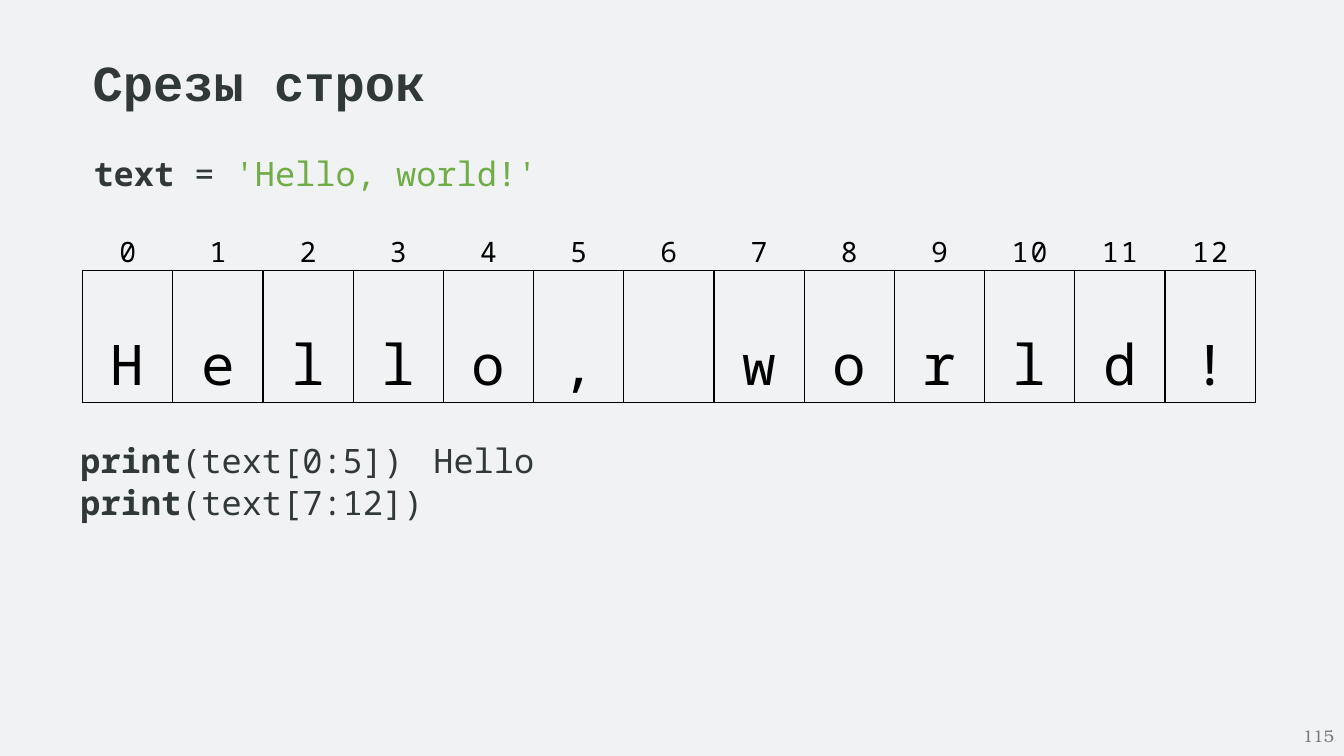
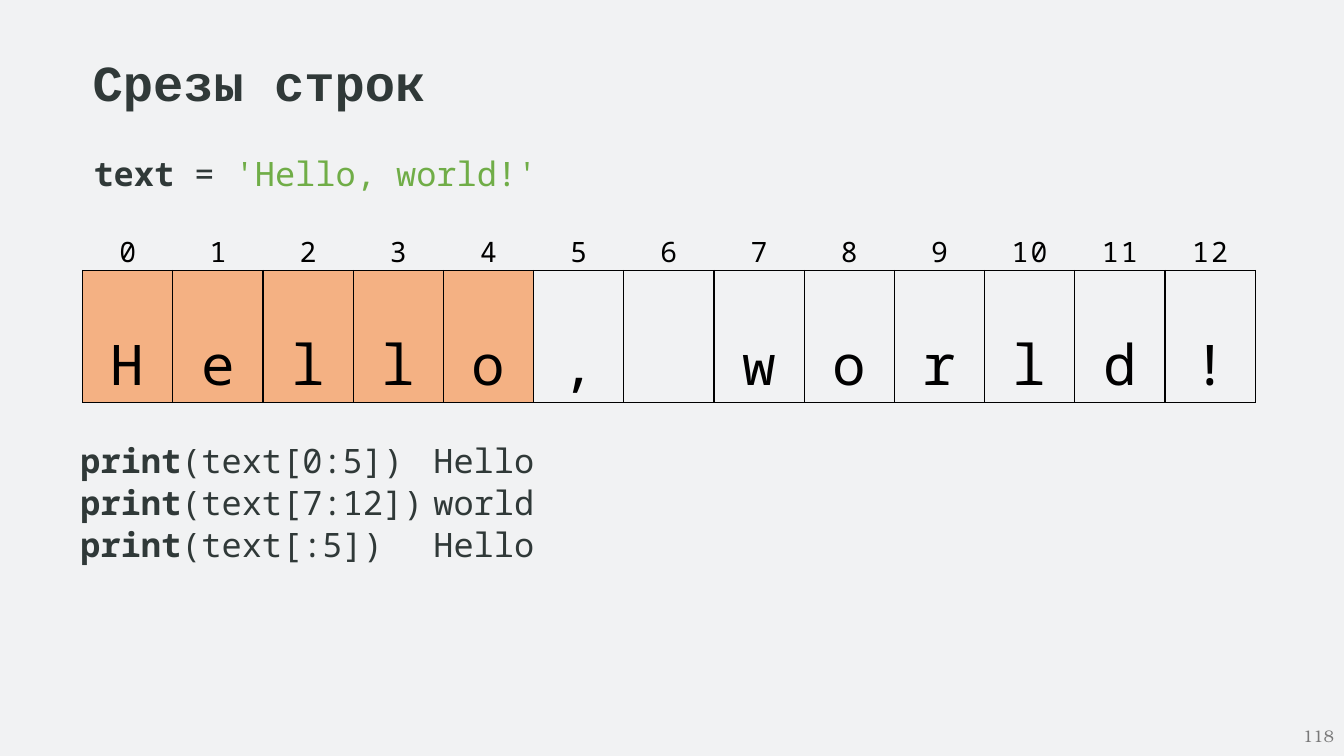
from lxml import etree
from pptx import Presentation, util as u
from pptx.dml.color import RGBColor
from pptx.enum import text as t
from pptx.oxml.ns import qn

WIDTH, HEIGHT = 13.33, 7.5
CODE, HEADING, NUMBER = "Noto Sans Mono", "Courier New", "TeX Gyre Bonum"
PAPER, INK, BLACK, GREEN, GREY, ORANGE = (
    "F1F2F3", "303938", "000000", "70AD47", "797979", "F4B183")
NO_STYLE = "{2D5ABB26-0587-4C30-8999-92F81FD0307C}"

TITLE = "Срезы строк"
STRING = "Hello, world!"
ASSIGNMENT = [("text ", {"bold": True}), ("= ", {}), (f"'{STRING}'", {"color": GREEN})]
SLIDES = [
    {"number": "115", "marked": range(0),
     "calls": [("(text[0:5])", "Hello"), ("(text[7:12])", "")]},
    {"number": "118", "marked": range(5),
     "calls": [("(text[0:5])", "Hello"), ("(text[7:12])", "world"), ("(text[:5])", "Hello")]},
]

LEFT, CODE_LEFT, CODE_WIDTH = 0.82, 0.69, 11.94
GRID_TOP, GRID_WIDTH = 2.21, 11.63
ROWS = [0.42, 1.02, 0.38]
RESULT_TAB = 5


def rgb(value):
    return RGBColor.from_string(value)


def write(paragraph, content, size=24, font=CODE, color=INK, bold=False, spacing=0):
    run = paragraph.add_run()
    run.text = content
    run.font.size, run.font.name, run.font.bold = u.Pt(size), font, bold
    run.font.color.rgb = rgb(color)
    if spacing:
        run.font._element.set("spc", str(round(spacing * 100)))


def add_box(slide, left, top, width, height, wrap=True):
    box = slide.shapes.add_textbox(*map(u.Inches, (left, top, width, height)))
    box.text_frame.word_wrap = wrap
    return box.text_frame


def add_code(slide, left, top, height, lines):
    frame = add_box(slide, left, top, CODE_WIDTH, height)
    for index, line in enumerate(lines):
        paragraph = frame.add_paragraph() if index else frame.paragraphs[0]
        props = paragraph._p.get_or_add_pPr()
        props.set("marL", str(u.Inches(0.01)))
        props.set("indent", "0")
        if any("\t" in content for content, _ in line):
            stops = etree.SubElement(props, qn("a:tabLst"))
            etree.SubElement(stops, qn("a:tab"), pos=str(u.Inches(RESULT_TAB)), algn="l")
        paragraph.alignment = t.PP_ALIGN.JUSTIFY
        if index:
            paragraph.space_before = u.Pt(0.9)
        for content, style in line:
            write(paragraph, content, **style)


def set_borders(cell, sides):
    props = cell._tc.get_or_add_tcPr()
    for place, side in enumerate(sides):
        line = etree.Element(qn(f"a:ln{side}"), w=str(u.Pt(1)))
        fill = etree.SubElement(line, qn("a:solidFill"))
        etree.SubElement(fill, qn("a:srgbClr"), val=BLACK)
        props.insert(place, line)


def fill_cell(cell, content, leading, **style):
    paragraph = cell.text_frame.paragraphs[0]
    paragraph.alignment = t.PP_ALIGN.CENTER
    paragraph.line_spacing = u.Pt(leading)
    write(paragraph, content, color=BLACK, **style)


def add_string_grid(slide, marked):
    count = len(STRING)
    table = slide.shapes.add_table(
        len(ROWS), count, *map(u.Inches, (LEFT, GRID_TOP, GRID_WIDTH, sum(ROWS)))).table
    table.first_row = table.horz_banding = False
    table._tbl.tblPr.find(qn("a:tableStyleId")).text = NO_STYLE
    for row, height in zip(table.rows, ROWS):
        row.height = u.Inches(height)
    for column, letter in enumerate(STRING):
        table.columns[column].width = u.Inches(GRID_WIDTH / count)
        cells = [table.cell(row, column) for row in range(len(ROWS))]
        for cell, sides in zip(cells, ("B", "LRTB", "T")):
            cell.margin_left = cell.margin_right = cell.margin_top = cell.margin_bottom = 0
            cell.fill.background()
            set_borders(cell, sides)
        index_cell, letter_cell, _ = cells
        fill_cell(index_cell, str(column), 34.1, size=20, spacing=1.6 if column > 9 else 0)
        if letter.strip():
            fill_cell(letter_cell, letter, 94, size=40)
        if column in marked:
            letter_cell.fill.solid()
            letter_cell.fill.fore_color.rgb = rgb(ORANGE)


def call_line(arguments, result):
    return [("print", {"bold": True}), (arguments + (f"\t{result}" if result else ""), {})]


def add_slide(deck, number, marked, calls):
    slide = deck.slides.add_slide(deck.slide_layouts[6])
    slide.background.fill.solid()
    slide.background.fill.fore_color.rgb = rgb(PAPER)
    title = add_box(slide, LEFT, 0.46, 3.54, 0.71, wrap=False)
    write(title.paragraphs[0], TITLE, size=36, font=HEADING, bold=True)
    add_code(slide, LEFT, 1.47, 0.5, [ASSIGNMENT])
    add_code(slide, CODE_LEFT, 4.32, 1.76, [call_line(*call) for call in calls])
    add_string_grid(slide, marked)
    footer = add_box(slide, WIDTH - 3, HEIGHT - 0.4, 3, 0.4)
    footer.vertical_anchor = t.MSO_ANCHOR.MIDDLE
    footer.paragraphs[0].alignment = t.PP_ALIGN.RIGHT
    write(footer.paragraphs[0], number, size=12, font=NUMBER, color=GREY)


def main():
    deck = Presentation()
    deck.slide_width, deck.slide_height = u.Inches(WIDTH), u.Inches(HEIGHT)
    for content in SLIDES:
        add_slide(deck, **content)
    deck.save("out.pptx")


if __name__ == "__main__":
    main()
